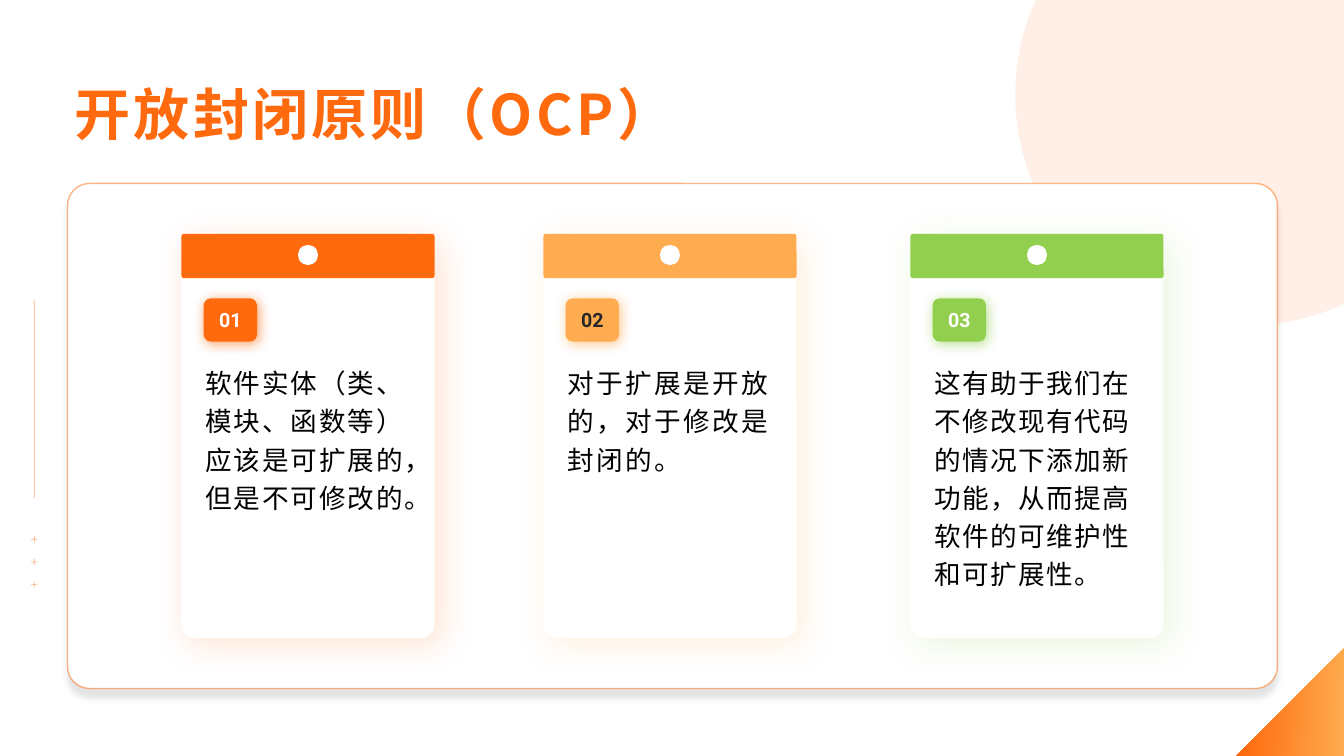
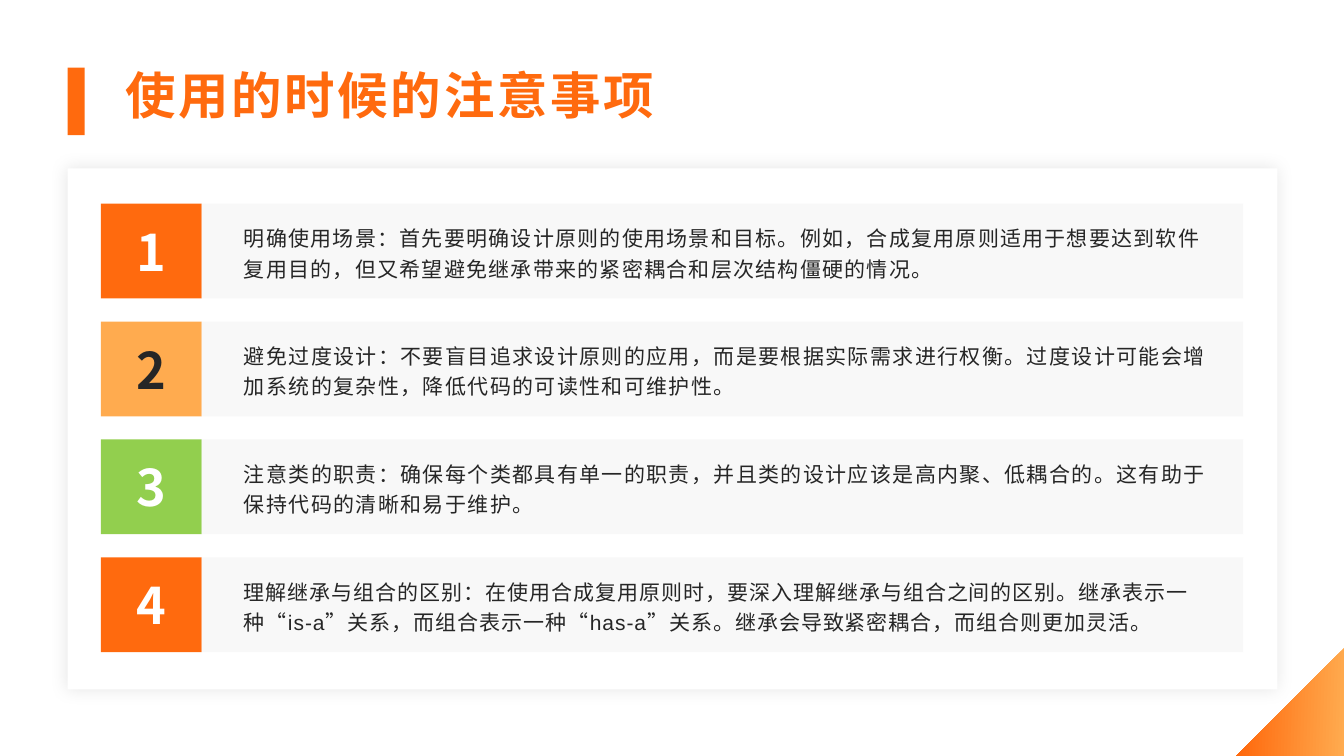
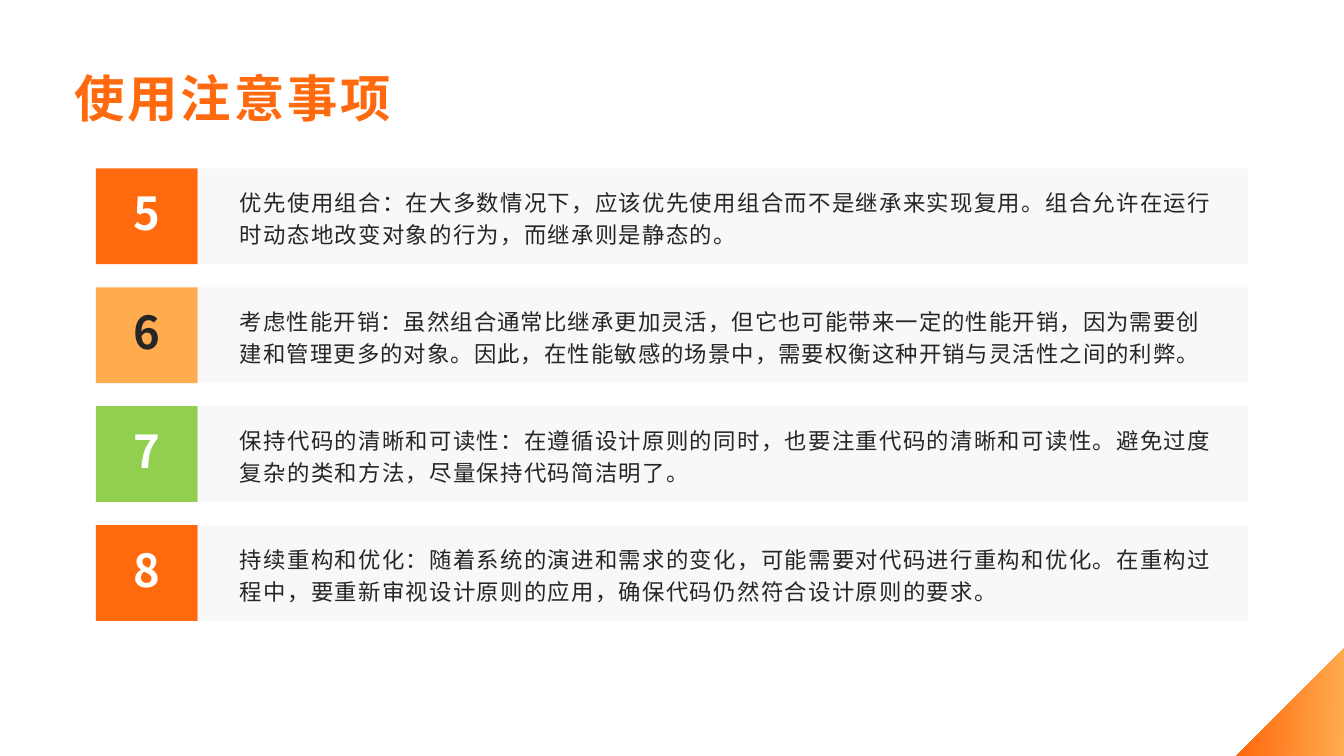
from dataclasses import dataclass
from math import acos, asin, cos, pi, sin

from lxml.etree import SubElement
from pptx import Presentation
from pptx.dml.color import RGBColor
from pptx.enum.shapes import MSO_CONNECTOR as CONN, MSO_SHAPE as SHAPE
from pptx.enum.text import MSO_ANCHOR as ANCHOR, MSO_AUTO_SIZE as FIT, PP_ALIGN as ALIGN
from pptx.oxml.ns import qn
from pptx.util import Inches, Pt


@dataclass(frozen=True)
class Theme:
    width: float = 13.33
    height: float = 7.5
    orange: str = "FF6A0E"
    amber: str = "FFAB4F"
    green: str = "92CF4E"
    white: str = "FFFFFF"
    black: str = "000000"
    ink: str = "262626"
    bar: str = "F2F2F2"
    heading_font: str = "Noto Sans CJK SC"
    body_font: str = "Arial"
    badge_font: str = "Roboto"
    title_size: float = 36
    cover_size: float = 40
    card_size: float = 19
    badge_size: float = 14

    @property
    def accents(self):
        return self.orange, self.amber, self.green

    def on(self, color):
        return self.ink if color == self.amber else self.white


THEME = Theme()


def set_alpha(parent, percent):
    color = parent.find(qn("a:solidFill")).find(qn("a:srgbClr"))
    SubElement(color, qn("a:alpha"), val=str(percent * 1000))


def write(tf, text, size=16, color=THEME.ink, font=THEME.body_font, bold=False,
          spacing=0, align=ALIGN.LEFT, anchor=ANCHOR.TOP, wrap=True,
          line=None, after=None, margins=(0.1, 0.05, 0.1, 0.05)):
    tf.auto_size = FIT.NONE
    tf.word_wrap = wrap
    tf.vertical_anchor = anchor
    tf.margin_left, tf.margin_top, tf.margin_right, tf.margin_bottom = map(Inches, margins)
    p = tf.paragraphs[0]
    p.alignment = align
    if line:
        p.line_spacing = line
    if after:
        p.space_after = Pt(after)
    r = p.add_run()
    r.text = text
    r.font.size = Pt(size)
    r.font.bold = bold
    r.font.name = font
    r.font.color.rgb = RGBColor.from_string(color)
    rPr = r.font._element
    rPr.set("lang", "zh-CN")
    rPr.set("spc", str(round(spacing * 100)))
    SubElement(rPr, qn("a:ea"), typeface=THEME.heading_font)


class Deck:
    def __init__(self, theme):
        self.theme = theme
        self.prs = Presentation()
        self.prs.slide_width = Inches(theme.width)
        self.prs.slide_height = Inches(theme.height)
        self.s = None

    def slide(self, title, left, top, width, height, size=None, **fmt):
        t = self.theme
        self.s = self.prs.slides.add_slide(self.prs.slide_layouts[5])
        sp = self.s.shapes.title
        sp.left, sp.top, sp.width, sp.height = map(Inches, (left, top, width, height))
        write(sp.text_frame, title, size=size or t.title_size, color=t.orange,
              font=t.heading_font, bold=True, margins=(0.07, 0.03, 0.07, 0.03), **fmt)
        self.corner()

    def outline(self, points):
        start, *rest = [tuple(map(Inches, pt)) for pt in points]
        builder = self.s.shapes.build_freeform(*start)
        builder.add_line_segments(rest, close=True)
        sp = builder.convert_to_shape()
        sp.shadow.inherit = False
        sp.line.fill.background()
        return sp

    def corner(self):
        w, h, side = self.theme.width, self.theme.height, 1.07
        fill = self.outline([(w, h - side), (w, h), (w - side, h)]).fill
        fill.gradient()
        fill.gradient_angle = 178
        stops = ((0, self.theme.amber), (0.94, self.theme.orange))
        for stop, (position, color) in zip(fill.gradient_stops, stops):
            stop.position = position
            stop.color.rgb = RGBColor.from_string(color)

    def halo(self, cx=12.36, cy=0.94, radius=2.29, steps=80):
        w = self.theme.width
        first = acos((w - cx) / radius)
        last = pi + asin(cy / radius)
        angles = [first + (last - first) * i / steps for i in range(steps + 1)]
        arc = [(cx + radius * cos(a), cy + radius * sin(a)) for a in angles]
        sp = self.outline([(w, 0), *arc])
        sp.fill.solid()
        sp.fill.fore_color.rgb = RGBColor.from_string(self.theme.orange)
        set_alpha(sp._element.spPr, 10)

    def shape(self, kind, left, top, width, height, fill, alpha=None, adj=None,
              line=None, shadow=None):
        sp = self.s.shapes.add_shape(kind, *map(Inches, (left, top, width, height)))
        spPr = sp._element.spPr
        if adj is not None:
            sp.adjustments[0] = adj
        sp.fill.solid()
        sp.fill.fore_color.rgb = RGBColor.from_string(fill)
        if alpha:
            set_alpha(spPr, alpha)
        if line:
            sp.line.width = Pt(1)
            sp.line.color.rgb = RGBColor.from_string(line)
            set_alpha(spPr.find(qn("a:ln")), 50)
        else:
            sp.line.fill.background()
        sp.shadow.inherit = False
        if shadow:
            color, opacity, blur, distance, angle = shadow
            outer = SubElement(spPr.find(qn("a:effectLst")), qn("a:outerShdw"),
                               blurRad=str(Pt(blur)), dist=str(Pt(distance)),
                               dir=str(angle * 60000), algn="ctr", rotWithShape="0")
            clr = SubElement(outer, qn("a:srgbClr"), val=color)
            SubElement(clr, qn("a:alpha"), val=str(opacity * 1000))
        return sp

    def text(self, left, top, width, height, text, **fmt):
        box = self.s.shapes.add_textbox(*map(Inches, (left, top, width, height)))
        write(box.text_frame, text, **fmt)

    def line(self, x1, y1, x2, y2):
        cn = self.s.shapes.add_connector(CONN.STRAIGHT, *map(Inches, (x1, y1, x2, y2)))
        cn.line.width = Pt(0.5)
        cn.line.color.rgb = RGBColor.from_string(self.theme.orange)
        spPr = cn._element.spPr
        set_alpha(spPr.find(qn("a:ln")), 50)
        SubElement(spPr, qn("a:effectLst"))

    def side_marks(self, x=0.34, arm=0.03):
        self.line(x, 2.98, x, 4.94)
        for i in range(3):
            y = 5.35 + 0.225 * i
            self.line(x, y - arm, x, y + arm)
            self.line(x - arm, y, x + arm, y)

    def card(self, left, number, color, text, spacing):
        t, top, width, dot = self.theme, 2.32, 2.51, 0.2
        self.shape(SHAPE.ROUNDED_RECTANGLE, left, top, width, 4.01, t.white, adj=0.054,
                   shadow=(color, 19, 24, 6, 45))
        self.text(left + 0.14, top + 1.21, 2.22, 2.7, text, size=t.card_size,
                  color=t.black, spacing=spacing, line=1.2, after=8)
        self.shape(SHAPE.ROUNDED_RECTANGLE, left, top, width, 0.44, color, adj=0.054)
        self.shape(SHAPE.OVAL, left + (width - dot) / 2, top + 0.11, dot, dot, t.white)
        badge = self.shape(SHAPE.ROUNDED_RECTANGLE, left + 0.22, top + 0.64, 0.53, 0.43,
                           color, shadow=(color, 61, 9, 2, 45))
        write(badge.text_frame, number, size=t.badge_size, color=t.on(color),
              font=t.badge_font, bold=True, align=ALIGN.CENTER, anchor=ANCHOR.MIDDLE,
              wrap=False)

    def rows(self, items, first, left, top, pitch, height, number_width, bar_width,
             size, number_size, lift=0):
        t = self.theme
        for i, (text, spacing) in enumerate(items):
            y = top + i * pitch
            color = t.accents[i % len(t.accents)]
            tile = self.shape(SHAPE.RECTANGLE, left, y, number_width, height, color)
            write(tile.text_frame, str(first + i), size=number_size, color=t.on(color),
                  font=t.heading_font, bold=True, align=ALIGN.CENTER,
                  anchor=ANCHOR.MIDDLE, wrap=False, margins=(0, 0, 0, lift))
            bar = self.shape(SHAPE.RECTANGLE, left + number_width, y, bar_width, height,
                             t.bar, alpha=50)
            write(bar.text_frame, text, size=size, spacing=spacing, line=1.2, after=8,
                  anchor=ANCHOR.MIDDLE, margins=(0.42, 0, 0.26, 0))


CARDS = [
    (1.8, "软件实体（类、模块、函数等）应该是可扩展的，但是不可修改的。", 1.4),
    (5.39, "对于扩展是开放的，对于修改是封闭的。", 1.8),
    (9.03, "这有助于我们在不修改现有代码的情况下添加新功能，从而提高软件的可维护性和可扩展性。", 1.1),
]
NOTES = [
    ("明确使用场景：首先要明确设计原则的使用场景和目标。例如，合成复用原则适用于想要达到软件复用目的，"
     "但又希望避免继承带来的紧密耦合和层次结构僵硬的情况。", 0.9),
    ("避免过度设计：不要盲目追求设计原则的应用，而是要根据实际需求进行权衡。"
     "过度设计可能会增加系统的复杂性，降低代码的可读性和可维护性。", 1),
    ("注意类的职责：确保每个类都具有单一的职责，并且类的设计应该是高内聚、低耦合的。"
     "这有助于保持代码的清晰和易于维护。", 1),
    ("理解继承与组合的区别：在使用合成复用原则时，要深入理解继承与组合之间的区别。"
     "继承表示一种“is-a”关系，而组合表示一种“has-a”关系。继承会导致紧密耦合，而组合则更加灵活。", 0.7),
]
MORE_NOTES = [
    ("优先使用组合：在大多数情况下，应该优先使用组合而不是继承来实现复用。"
     "组合允许在运行时动态地改变对象的行为，而继承则是静态的。", 1),
    ("考虑性能开销：虽然组合通常比继承更加灵活，但它也可能带来一定的性能开销，因为需要创建和管理更多的对象。"
     "因此，在性能敏感的场景中，需要权衡这种开销与灵活性之间的利弊。", 0.8),
    ("保持代码的清晰和可读性：在遵循设计原则的同时，也要注重代码的清晰和可读性。"
     "避免过度复杂的类和方法，尽量保持代码简洁明了。", 1),
    ("持续重构和优化：随着系统的演进和需求的变化，可能需要对代码进行重构和优化。"
     "在重构过程中，要重新审视设计原则的应用，确保代码仍然符合设计原则的要求。", 1),
]


def main():
    t = THEME
    deck = Deck(t)

    deck.slide("开放封闭原则（OCP）", 0.67, 0.75, 9.5, 0.74, size=t.cover_size,
               spacing=2.4, anchor=ANCHOR.MIDDLE)
    deck.halo()
    deck.side_marks()
    deck.shape(SHAPE.ROUNDED_RECTANGLE, 0.67, 1.82, 12, 5.01, t.white, adj=0.044,
               line=t.orange, shadow=(t.black, 11, 4, 6, 90))
    for i, (left, text, spacing) in enumerate(CARDS):
        deck.card(left, f"{i + 1:02}", t.accents[i], text, spacing)

    deck.slide("使用的时候的注意事项", 1.17, 0.67, 11.17, 0.67, spacing=2, line=0.9)
    deck.shape(SHAPE.RECTANGLE, 0.67, 0.67, 0.17, 0.67, t.orange)
    deck.shape(SHAPE.RECTANGLE, 0.67, 1.67, 12, 5.17, t.white,
               shadow=(t.black, 10, 12, 0, 0))
    deck.rows(NOTES, first=1, left=1, top=2.02, pitch=1.17, height=0.94,
              number_width=1, bar_width=10.33, size=15, number_size=36)

    deck.slide("使用注意事项", 0.67, 0.67, 12, 0.67, spacing=2, line=0.9,
               anchor=ANCHOR.MIDDLE)
    deck.rows(MORE_NOTES, first=5, left=0.95, top=1.67, pitch=1.18, height=0.95,
              number_width=1.01, bar_width=10.42, size=16, number_size=32.4, lift=0.07)

    deck.prs.save("out.pptx")


if __name__ == "__main__":
    main()
